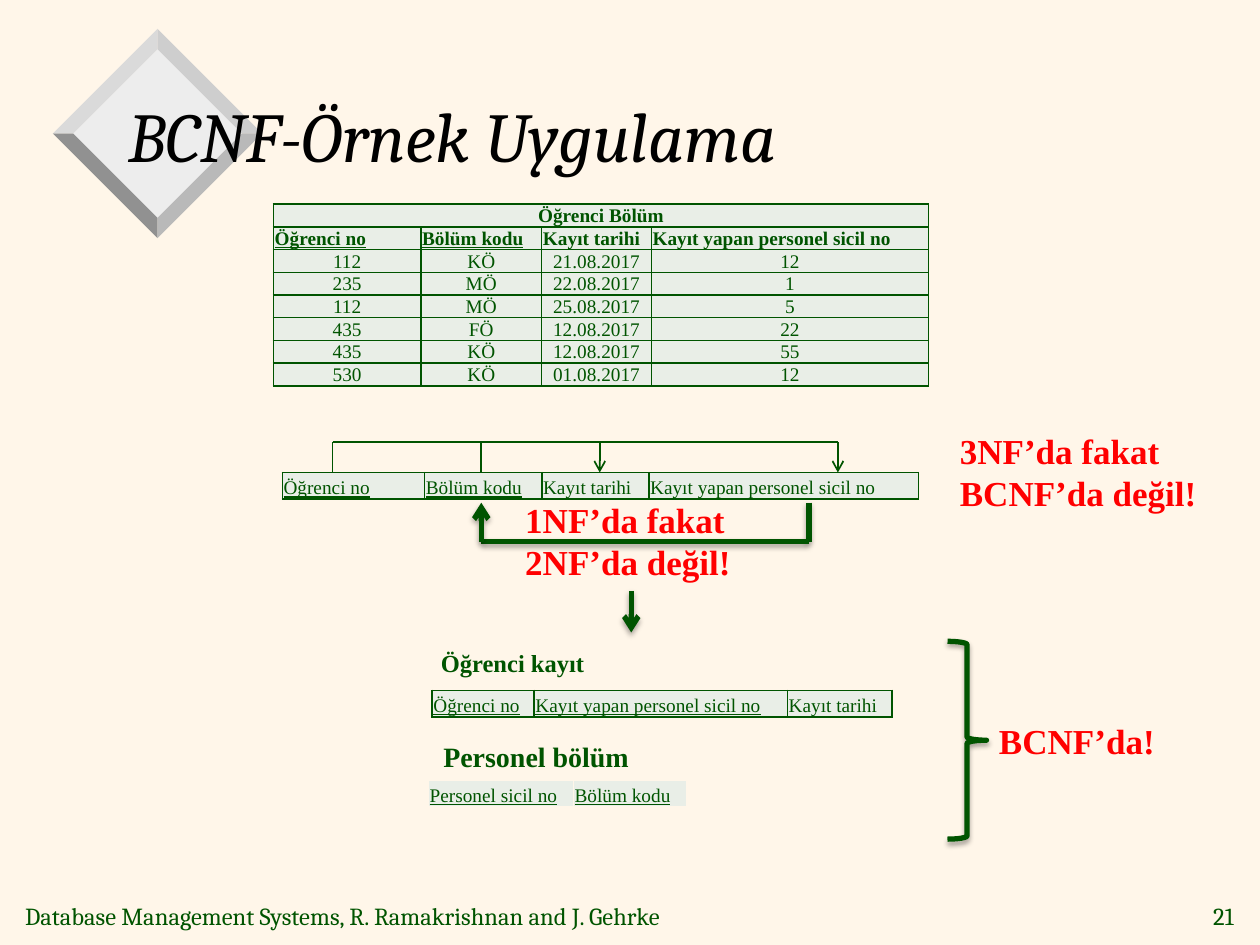
from lxml import etree
from pptx import Presentation
from pptx.dml.color import RGBColor
from pptx.enum.shapes import MSO_CONNECTOR, MSO_SHAPE
from pptx.enum.text import MSO_ANCHOR, PP_ALIGN
from pptx.oxml import parse_xml
from pptx.oxml.ns import qn
from pptx.util import Inches, Pt

STRAIGHT = MSO_CONNECTOR.STRAIGHT
BRACE = MSO_SHAPE.RIGHT_BRACE
MIDDLE, BOTTOM, TOP = MSO_ANCHOR.MIDDLE, MSO_ANCHOR.BOTTOM, MSO_ANCHOR.TOP
LEFT, CENTER, RIGHT = PP_ALIGN.LEFT, PP_ALIGN.CENTER, PP_ALIGN.RIGHT
GREEN, RED, BLACK, CREAM, PALE = "005400", "FF0000", "000000", "FFF6E9", "E9EEE7"
SERIF, TIMES = "Cambria", "Times New Roman"
DRAWING = "http://schemas.openxmlformats.org/drawingml/2006/main"
paint = RGBColor.from_string

deck = Presentation()
deck.slide_width, deck.slide_height = Inches(10), Inches(7.5)
CELL = deck.slide_width // 10
page = deck.slides.add_slide(deck.slide_layouts[6])
page.background.fill.solid()
page.background.fill.fore_color.rgb = paint(CREAM)


def grid(*cells):
    return [round(cell * CELL) for cell in cells]


def style(para, text, size, face, color, bold=False, align=LEFT):
    para.text = text
    para.alignment = align
    font = para.font
    font.size, font.name, font.bold = Pt(size), face, bold
    font.color.rgb = paint(color)


middle_x, middle_y, outer, inner = 1.25, 1.06, 0.83, 0.67
directions = [(0, -1), (1, 0), (0, 1), (-1, 0)]
outer_corners = [(middle_x + dx * outer, middle_y + dy * outer) for dx, dy in directions]
inner_corners = [(middle_x + dx * inner, middle_y + dy * inner) for dx, dy in directions]
facets = [(inner_corners, "EDEDED")]
for side, color in enumerate(["CECECE", "B9B9B9", "919191", "DADADA"]):
    following = (side + 1) % 4
    facets.append(([inner_corners[side], outer_corners[side],
                    outer_corners[following], inner_corners[following]], color))
for corners, color in facets:
    points = [grid(*corner) for corner in corners]
    builder = page.shapes.build_freeform(*points[0])
    builder.add_line_segments(points[1:])
    facet = builder.convert_to_shape()
    facet.shadow.inherit = False
    facet.fill.solid()
    facet.fill.fore_color.rgb = paint(color)
    facet.line.fill.background()

enrolment = ["Öğrenci no", "Bölüm kodu", "Kayıt tarihi", "Kayıt yapan personel sicil no"]
records = [
    ["112", "KÖ", "21.08.2017", "12"],
    ["235", "MÖ", "22.08.2017", "1"],
    ["112", "MÖ", "25.08.2017", "5"],
    ["435", "FÖ", "12.08.2017", "22"],
    ["435", "KÖ", "12.08.2017", "55"],
    ["530", "KÖ", "01.08.2017", "12"],
]
tables = [
    (2.17, 1.62, [1.17, 0.96, 0.87, 2.2], 0.18, GREEN, 2,
     [["Öğrenci Bölüm", "", "", ""], enrolment] + records),
    (2.24, 3.75, [1.13, 0.93, 0.85, 2.14], 0.21, GREEN, 2, [enrolment]),
    (3.43, 5.48, [0.81, 2.01, 0.83], 0.21, GREEN, 2,
     [["Öğrenci no", "Kayıt yapan personel sicil no", "Kayıt tarihi"]]),
    (3.4, 6.19, [1.15, 0.9], 0.21, CREAM, 2, [["Personel sicil no", "Bölüm kodu"]]),
]
for left, top, widths, height, border, key_count, rows in tables:
    table = page.shapes.add_table(
        len(rows), len(widths), *grid(left, top, sum(widths), height * len(rows))).table
    table.first_row = table.horz_banding = False
    for column, width in zip(table.columns, widths):
        column.width = grid(width)[0]
    titled = len(rows) > 1
    header = 1 if titled else 0
    for r, values in enumerate(rows):
        table.rows[r].height = grid(height)[0]
        for c, value in enumerate(values):
            cell = table.cell(r, c)
            cell.margin_left, cell.margin_right, cell.margin_top, cell.margin_bottom = grid(
                0.01, 0.01, 0.01, 0)
            cell.vertical_anchor = BOTTOM
            cell.fill.solid()
            cell.fill.fore_color.rgb = paint(PALE)
            para = cell.text_frame.paragraphs[0]
            style(para, value, 11, TIMES, GREEN, titled and r <= header,
                  LEFT if r == header else CENTER)
            para.font.underline = r == header and c < key_count
            for position, edge in enumerate(["lnL", "lnR", "lnT", "lnB"]):
                cell._tc.get_or_add_tcPr().insert(position, parse_xml(
                    f'<a:{edge} xmlns:a="{DRAWING}" w="{Pt(1)}"><a:solidFill>'
                    f'<a:srgbClr val="{border}"/></a:solidFill></a:{edge}>'))
    if titled:
        table.cell(0, 0).merge(table.cell(0, len(widths) - 1))

student, department, date, clerk = 2.64, 3.82, 4.76, 6.65
rail, field_top, field_bottom, loop, clerk_exit = 3.51, 3.75, 3.99, 4.3, 6.42
dependencies = [
    (student, field_top, student, rail, 1, False),
    (student, rail, clerk, rail, 1, False),
    (department, rail, department, field_top, 1, False),
    (date, rail, date, field_top, 1, True),
    (clerk, rail, clerk, field_top, 1, True),
    (clerk_exit, field_bottom, clerk_exit, loop, 3, False),
    (clerk_exit, loop, department, loop, 3, False),
    (department, loop, department, field_bottom, 3, True),
    (5.01, 4.69, 5.01, 5.02, 3, True),
]
shaded = []
for *ends, weight, arrow in dependencies:
    line = page.shapes.add_connector(STRAIGHT, *grid(*ends))
    line.line.width = Pt(weight)
    line.line.color.rgb = paint(GREEN)
    if arrow:
        etree.SubElement(line.line._get_or_add_ln(), qn("a:tailEnd"), type="arrow")
    effects = etree.SubElement(line._element.spPr, qn("a:effectLst"))
    if weight == 3:
        shaded.append(effects)

brace = page.shapes.add_shape(BRACE, *grid(7.52, 5.09, 0.31, 1.57))
brace.fill.background()
brace.line.width = Pt(3)
brace.line.color.rgb = paint(GREEN)
brace.shadow.inherit = False
shaded.append(brace._element.spPr.find(qn("a:effectLst")))
for effects in shaded:
    effects.append(parse_xml(
        f'<a:outerShdw xmlns:a="{DRAWING}" blurRad="{Pt(3.1)}" dist="{Pt(1.8)}" '
        'dir="5400000" rotWithShape="0"><a:srgbClr val="000000">'
        '<a:alpha val="35000"/></a:srgbClr></a:outerShdw>'))

labels = [
    (0.1, 7.1, 5.72, 0.33, ["Database Management Systems, R. Ramakrishnan and J. Gehrke"],
     14, SERIF, GREEN, False, LEFT, MIDDLE),
    (9.45, 7.1, 0.44, 0.33, ["21"], 14, SERIF, GREEN, False, RIGHT, MIDDLE),
    (0.92, 0.46, 8.5, 1.21, ["BCNF-Örnek Uygulama"], 40, SERIF, BLACK, False, LEFT, MIDDLE),
    (7.52, 3.36, 2.1, 0.77, ["3NF’da fakat", "BCNF’da değil!"],
     20, TIMES, RED, True, LEFT, TOP),
    (4.07, 3.91, 1.87, 0.77, ["1NF’da fakat", "2NF’da değil!"],
     20, TIMES, RED, True, LEFT, TOP),
    (3.4, 5.09, 1.35, 0.34, ["Öğrenci kayıt"], 14, TIMES, GREEN, True, LEFT, TOP),
    (3.42, 5.82, 1.69, 0.37, ["Personel bölüm"], 16, TIMES, GREEN, True, LEFT, TOP),
    (7.83, 5.66, 1.45, 0.44, ["BCNF’da!"], 20, TIMES, RED, True, LEFT, TOP),
]
for left, top, width, height, texts, size, face, color, bold, align, anchor in labels:
    box = page.shapes.add_textbox(*grid(left, top, width, height))
    frame = box.text_frame
    frame.word_wrap = size == 40
    frame.vertical_anchor = anchor
    for number, text in enumerate(texts):
        para = frame.add_paragraph() if number else frame.paragraphs[0]
        style(para, text, size, face, color, bold, align)
        para.font.italic = size == 40

deck.save("out.pptx")
